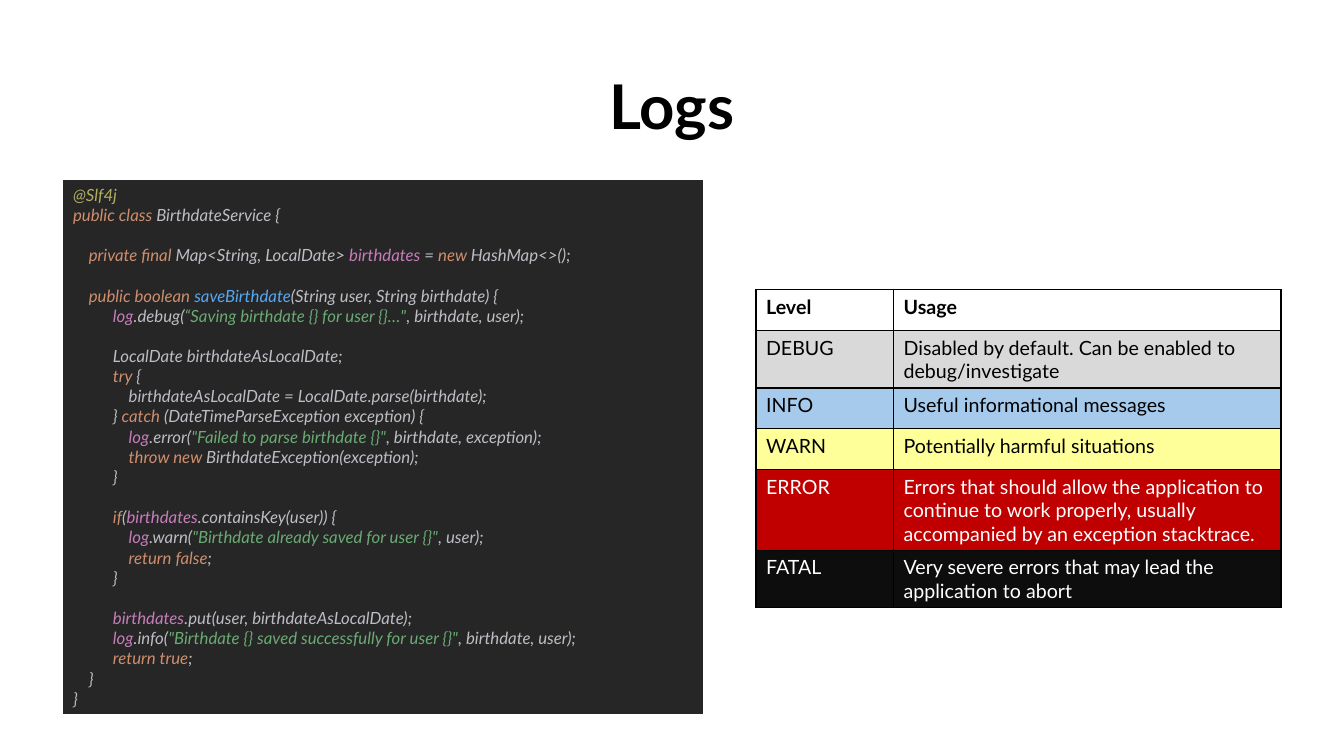
from lxml import etree
from pptx import Presentation
from pptx.dml.color import RGBColor
from pptx.enum.text import MSO_ANCHOR, PP_ALIGN
from pptx.oxml.ns import qn
from pptx.util import Emu, Pt

PX = 9525
NO_STYLE = "{2D5ABB26-0587-4C30-8999-92F81FD0307C}"
PLAIN, KEYWORD, FIELD, STRING = "BCBEC4", "CF8E6D", "C77DBB", "6AAB73"
METHOD, ANNOTATION = "56A8F5", "B3AE60"


def add_span(para, text, colour, **font_format):
    span = para.add_run()
    span.text = text
    span.font.name = "Lato"
    span.font.color.rgb = RGBColor.from_string(colour)
    for name, value in font_format.items():
        setattr(span.font, name, value)


def add_plain_table(left, top, widths, heights):
    """Add a table without a style, with the given column and row sizes in px."""
    frame = slide.shapes.add_table(
        len(heights), len(widths), left * PX, top * PX, sum(widths) * PX, sum(heights) * PX)
    table = frame.table
    table.first_row = table.horz_banding = False
    next(table._tbl.iter(qn("a:tableStyleId"))).text = NO_STYLE
    for column, width in zip(table.columns, widths):
        column.width = Emu(width * PX)
    for row, height in zip(table.rows, heights):
        row.height = Emu(height * PX)
    return table


deck = Presentation()
deck.slide_width, deck.slide_height = 1280 * PX, 720 * PX
slide = deck.slides.add_slide(deck.slide_layouts[5])

title = slide.shapes.title
title.left, title.top, title.width, title.height = 0, 59 * PX, 1280 * PX, 81 * PX
title.text_frame.vertical_anchor = MSO_ANCHOR.MIDDLE
title_para = title.text_frame.paragraphs[0]
title_para.alignment = PP_ALIGN.CENTER
add_span(title_para, "Logs", "000000", size=Pt(44), bold=True)

# Each code line: indent in px, whether a gap precedes it, coloured spans
CLASS, MEMBER, BODY, BLOCK = 0, 15, 38, 53
code_lines = [
    (CLASS, False, [("@Slf4j", ANNOTATION)]),
    (CLASS, False, [("public class ", KEYWORD), ("BirthdateService {", PLAIN)]),
    (MEMBER, True, [("private final ", KEYWORD), ("Map<String, LocalDate> ", PLAIN),
                    ("birthdates ", FIELD), ("= ", PLAIN), ("new ", KEYWORD),
                    ("HashMap<>();", PLAIN)]),
    (MEMBER, True, [("public boolean ", KEYWORD), ("saveBirthdate", METHOD),
                    ("(String user, String birthdate) {", PLAIN)]),
    (BODY, False, [("log", FIELD), (".debug(", PLAIN),
                   ("“Saving birthdate {} for user {}…\"", STRING),
                   (", birthdate, user);", PLAIN)]),
    (BODY, True, [("LocalDate birthdateAsLocalDate;", PLAIN)]),
    (BODY, False, [("try ", KEYWORD), ("{", PLAIN)]),
    (BLOCK, False, [("birthdateAsLocalDate = LocalDate.parse(birthdate);", PLAIN)]),
    (BODY, False, [("} ", PLAIN), ("catch ", KEYWORD),
                   ("(DateTimeParseException exception) {", PLAIN)]),
    (BLOCK, False, [("log", FIELD), (".error(", PLAIN),
                    ('"Failed to parse birthdate {}"', STRING),
                    (", birthdate, exception);", PLAIN)]),
    (BLOCK, False, [("throw new ", KEYWORD), ("BirthdateException(exception);", PLAIN)]),
    (BODY, False, [("}", PLAIN)]),
    (BODY, True, [("if", KEYWORD), ("(", PLAIN), ("birthdates", FIELD),
                  (".containsKey(user)) {", PLAIN)]),
    (BLOCK, False, [("log", FIELD), (".warn(", PLAIN),
                    ('"Birthdate already saved for user {}"', STRING), (", user);", PLAIN)]),
    (BLOCK, False, [("return false", KEYWORD), (";", PLAIN)]),
    (BODY, False, [("}", PLAIN)]),
    (BODY, True, [("birthdates", FIELD), (".put(user, birthdateAsLocalDate);", PLAIN)]),
    (BODY, False, [("log", FIELD), (".info(", PLAIN),
                   ('"Birthdate {} saved successfully for user {}"', STRING),
                   (", birthdate, user);", PLAIN)]),
    (BODY, False, [("return true", KEYWORD), (";", PLAIN)]),
    (MEMBER, False, [("}", PLAIN)]),
    (CLASS, False, [("}", PLAIN)]),
]

code_cell = add_plain_table(60, 171, [610], [509]).cell(0, 0)
code_cell.fill.solid()
code_cell.fill.fore_color.rgb = RGBColor.from_string("262626")
code_frame = code_cell.text_frame
for number, (indent, gap, spans) in enumerate(code_lines):
    para = code_frame.add_paragraph() if number else code_frame.paragraphs[0]
    para._p.get_or_add_pPr().set("marL", str(indent * PX))
    para.space_before = Pt(14.4 if gap else 0)
    for text, colour in spans:
        add_span(para, text, colour, size=Pt(12), italic=True)

levels = [
    ("Level", "Usage", None, "000000", 39),
    ("DEBUG", "Disabled by default. Can be enabled to debug/investigate", "D9D9D9", "000000", 54),
    ("INFO", "Useful informational messages", "A6CAEC", "000000", 39),
    ("WARN", "Potentially harmful situations", "FFFF99", "000000", 39),
    ("ERROR", "Errors that should allow the application to continue to work properly, "
              "usually accompanied by an exception stacktrace.", "C00000", "FFFFFF", 77),
    ("FATAL", "Very severe errors that may lead the application to abort",
     "0D0D0D", "FFFFFF", 54),
]

level_table = add_plain_table(720, 276, [131, 369], [level[-1] for level in levels])
for row, (name, usage, fill, colour, _) in enumerate(levels):
    for column, text in enumerate((name, usage)):
        cell = level_table.cell(row, column)
        cell_properties = cell._tc.get_or_add_tcPr()
        for side in ("lnL", "lnR", "lnT", "lnB"):
            line = etree.SubElement(cell_properties, qn(f"a:{side}"), w=str(Pt(1)))
            line_fill = etree.SubElement(line, qn("a:solidFill"))
            etree.SubElement(line_fill, qn("a:srgbClr"), val="000000")
        if fill:
            cell.fill.solid()
            cell.fill.fore_color.rgb = RGBColor.from_string(fill)
        else:
            cell.fill.background()
        add_span(cell.text_frame.paragraphs[0], text, colour, size=Pt(14), bold=row == 0)

deck.save("out.pptx")
